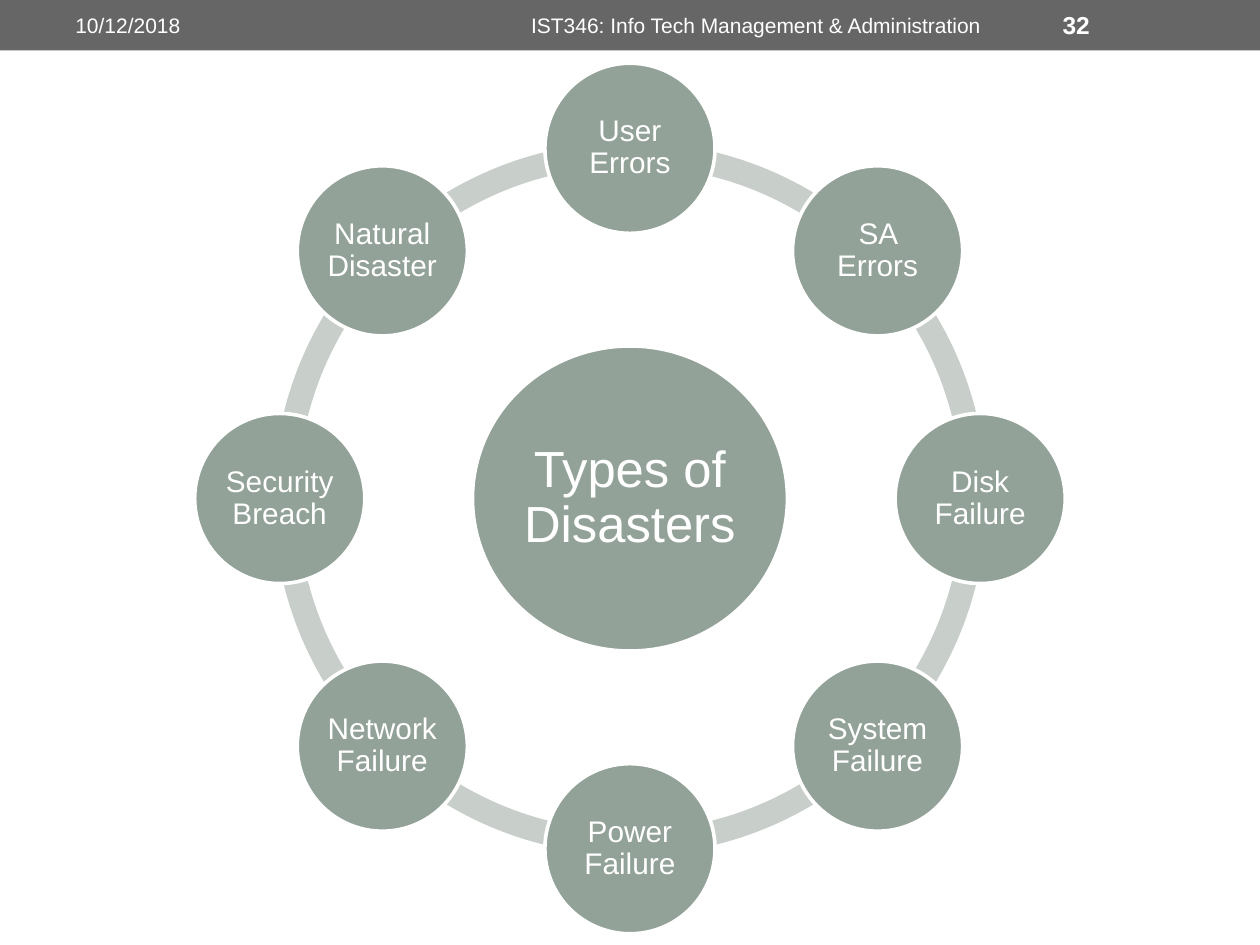
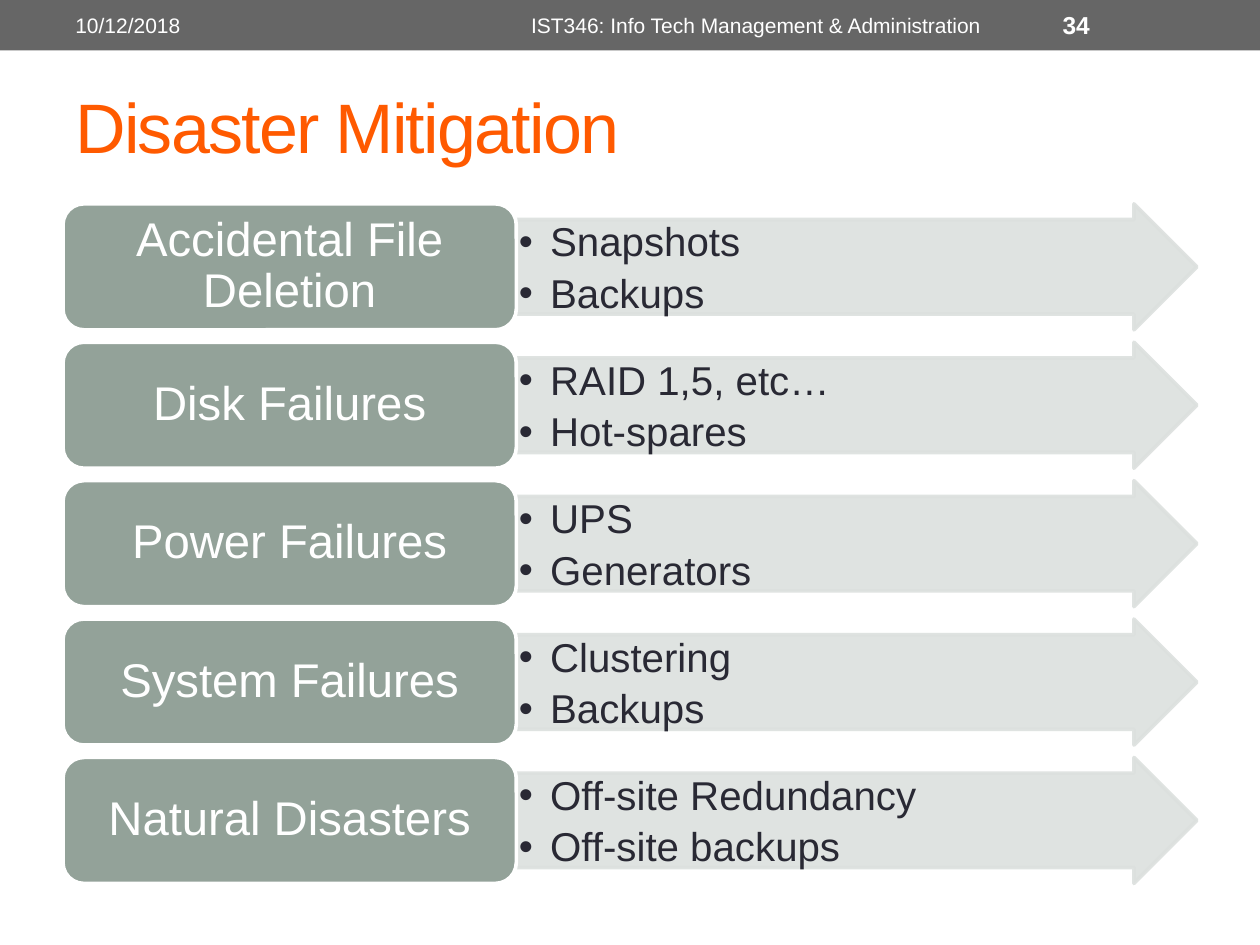
from math import cos, radians, sin

from lxml.etree import SubElement
from pptx import Presentation
from pptx.dml.color import RGBColor
from pptx.enum.shapes import MSO_SHAPE
from pptx.enum.text import MSO_ANCHOR, PP_ALIGN
from pptx.oxml.ns import qn
from pptx.util import Cm, Pt

WHITE, BAND, ORANGE = "FFFFFF", "666666", "FF5A00"
SAGE, PALE, RING, INK = "93A299", "DCE0DE", "C8CECA", "292934"
FONT = "Arial"
COURSE = "IST346: Info Tech Management & Administration"

CENTER_X, CENTER_Y = 12.7, 10.05
ORBIT, NODE_SIZE, RING_SIZE = 7.06, 3.43, 14.38
HUB_WIDTH, HUB_HEIGHT = 6.35, 6.15
ARC_UNITS_PER_DEGREE = 0.6
DISASTERS = ["User Errors", "SA Errors", "Disk Failure", "System Failure",
             "Power Failure", "Network Failure", "Security Breach", "Natural Disaster"]

ROW_TOP, ROW_PITCH, ROW_HEIGHT = 4.11, 2.79, 2.54
RISK_LEFT, RISK_WIDTH, REMEDY_WIDTH = 1.27, 9.14, 13.72
MITIGATIONS = [
    ("Accidental File Deletion", ["Snapshots", "Backups"]),
    ("Disk Failures", ["RAID 1,5, etc…", "Hot-spares"]),
    ("Power Failures", ["UPS", "Generators"]),
    ("System Failures", ["Clustering", "Backups"]),
    ("Natural Disasters", ["Off-site Redundancy", "Off-site backups"]),
]


def color(hex_code):
    """Turn a hex string into a colour."""
    return RGBColor.from_string(hex_code)


def add_form(slide, preset, box, fill, outline=None):
    """Add a flat preset shape; box is left, top, width, height in cm."""
    form = slide.shapes.add_shape(preset, *map(Cm, box))
    form.shadow.inherit = False
    form.fill.solid()
    form.fill.fore_color.rgb = color(fill)
    if outline:
        form.line.color.rgb = color(outline)
        form.line.width = Pt(2.08)
    else:
        form.line.fill.background()
    return form


def set_frame(frame, inset_x, inset_y, anchor=MSO_ANCHOR.MIDDLE):
    """Set wrapping, insets in cm and anchor of a text frame."""
    frame.word_wrap = True
    frame.margin_left = frame.margin_right = Cm(inset_x)
    frame.margin_top = frame.margin_bottom = Cm(inset_y)
    frame.vertical_anchor = anchor


def add_run(paragraph, text, size, ink, bold=False):
    """Append one formatted run."""
    run = paragraph.add_run()
    run.text = text
    run.font.name = FONT
    run.font.size = Pt(size)
    run.font.bold = bold
    run.font.color.rgb = color(ink)
    return run


def add_label(slide, box, text, size, ink=WHITE, align=PP_ALIGN.LEFT, bold=False):
    """Add a one-line text box and return its run."""
    label = slide.shapes.add_textbox(*map(Cm, box))
    set_frame(label.text_frame, 0.25, 0.13)
    paragraph = label.text_frame.paragraphs[0]
    paragraph.alignment = align
    return add_run(paragraph, text, size, ink, bold)


def add_caption(form, text, size, inset_x, inset_y):
    """Write centred white text inside a shape."""
    set_frame(form.text_frame, inset_x, inset_y)
    paragraph = form.text_frame.paragraphs[0]
    paragraph.alignment = PP_ALIGN.CENTER
    paragraph.line_spacing = 0.9
    add_run(paragraph, text, size, WHITE)


def add_bullet(paragraph, text):
    """Write one bulleted remedy."""
    properties = paragraph._p.get_or_add_pPr()
    properties.set("marL", str(Cm(0.63)))
    properties.set("indent", str(Cm(-0.63)))
    SubElement(properties, qn("a:buFont"), typeface=FONT)
    SubElement(properties, qn("a:buChar"), char="•")
    paragraph.level = 1
    paragraph.alignment = PP_ALIGN.LEFT
    paragraph.line_spacing = 0.9
    paragraph.space_after = Pt(4.6)
    add_run(paragraph, text, 23, INK)


def add_header(slide, number):
    """Add the grey band with date, course and slide number."""
    add_form(slide, MSO_SHAPE.RECTANGLE, (0, 0, 25.4, 1.02), BAND)
    add_label(slide, (1.27, 0.05, 8.05, 0.91), "10/12/2018", 12)
    add_label(slide, (9.53, 0.05, 11.43, 0.91), COURSE, 12, align=PP_ALIGN.CENTER)
    add_label(slide, (21.17, 0.05, 2.97, 0.91), number, 14, bold=True)


def add_title(slide, text):
    """Add the tightly spaced orange title."""
    run = add_label(slide, (1.27, 1.47, 22.86, 2.11), text, 40, ORANGE)
    run._r.get_or_add_rPr().set("spc", "-100")


def add_circle(slide, center_x, center_y, width, height, text, size, inset):
    """Add a captioned ellipse around a centre point."""
    box = (center_x - width / 2, center_y - height / 2, width, height)
    circle = add_form(slide, MSO_SHAPE.OVAL, box, SAGE, WHITE)
    add_caption(circle, text, size, inset, inset)


def add_wheel(slide, hub_text, spokes):
    """Add a hub and evenly spaced circles joined by ring segments."""
    step = 360 / len(spokes)
    ring_box = (CENTER_X - RING_SIZE / 2, CENTER_Y - RING_SIZE / 2, RING_SIZE, RING_SIZE)
    angles = [(270 + step * index) % 360 for index in range(len(spokes))]
    for angle in angles:
        segment = add_form(slide, MSO_SHAPE.BLOCK_ARC, ring_box, RING)
        segment.adjustments[0] = angle * ARC_UNITS_PER_DEGREE
        segment.adjustments[1] = (angle + step) % 360 * ARC_UNITS_PER_DEGREE
        segment.adjustments[2] = 0.034
    add_circle(slide, CENTER_X, CENTER_Y, HUB_WIDTH, HUB_HEIGHT, hub_text, 29, 0.1)
    for angle, text in zip(angles, spokes):
        node_x = CENTER_X + ORBIT * cos(radians(angle))
        node_y = CENTER_Y + ORBIT * sin(radians(angle))
        add_circle(slide, node_x, node_y, NODE_SIZE, NODE_SIZE, text, 17, 0.05)


def add_mitigation(slide, top, risk, remedies):
    """Add a risk box with an arrow listing its remedies."""
    arrow_box = (RISK_LEFT + RISK_WIDTH, top, REMEDY_WIDTH, ROW_HEIGHT)
    arrow = add_form(slide, MSO_SHAPE.RIGHT_ARROW, arrow_box, PALE, PALE)
    arrow.adjustments[0] = 0.75
    for tint in arrow._element.spPr.iter(qn("a:srgbClr")):
        SubElement(tint, qn("a:alpha"), val="90000")
    frame = arrow.text_frame
    set_frame(frame, 0.05, 0.05, MSO_ANCHOR.TOP)
    for index, remedy in enumerate(remedies):
        add_bullet(frame.add_paragraph() if index else frame.paragraphs[0], remedy)
    risk_box = (RISK_LEFT, top, RISK_WIDTH, ROW_HEIGHT)
    risk_form = add_form(slide, MSO_SHAPE.ROUNDED_RECTANGLE, risk_box, SAGE, WHITE)
    add_caption(risk_form, risk, 27, 0.28, 0.15)


def main():
    """Build both slides and save them."""
    deck = Presentation()
    deck.slide_width, deck.slide_height = Cm(25.4), Cm(19.05)
    blank = deck.slide_layouts[6]

    disaster_types = deck.slides.add_slide(blank)
    add_header(disaster_types, "32")
    add_wheel(disaster_types, "Types of Disasters", DISASTERS)

    mitigation = deck.slides.add_slide(blank)
    add_header(mitigation, "34")
    add_title(mitigation, "Disaster Mitigation")
    for row, (risk, remedies) in enumerate(MITIGATIONS):
        add_mitigation(mitigation, ROW_TOP + row * ROW_PITCH, risk, remedies)

    deck.save("out.pptx")


if __name__ == "__main__":
    main()
